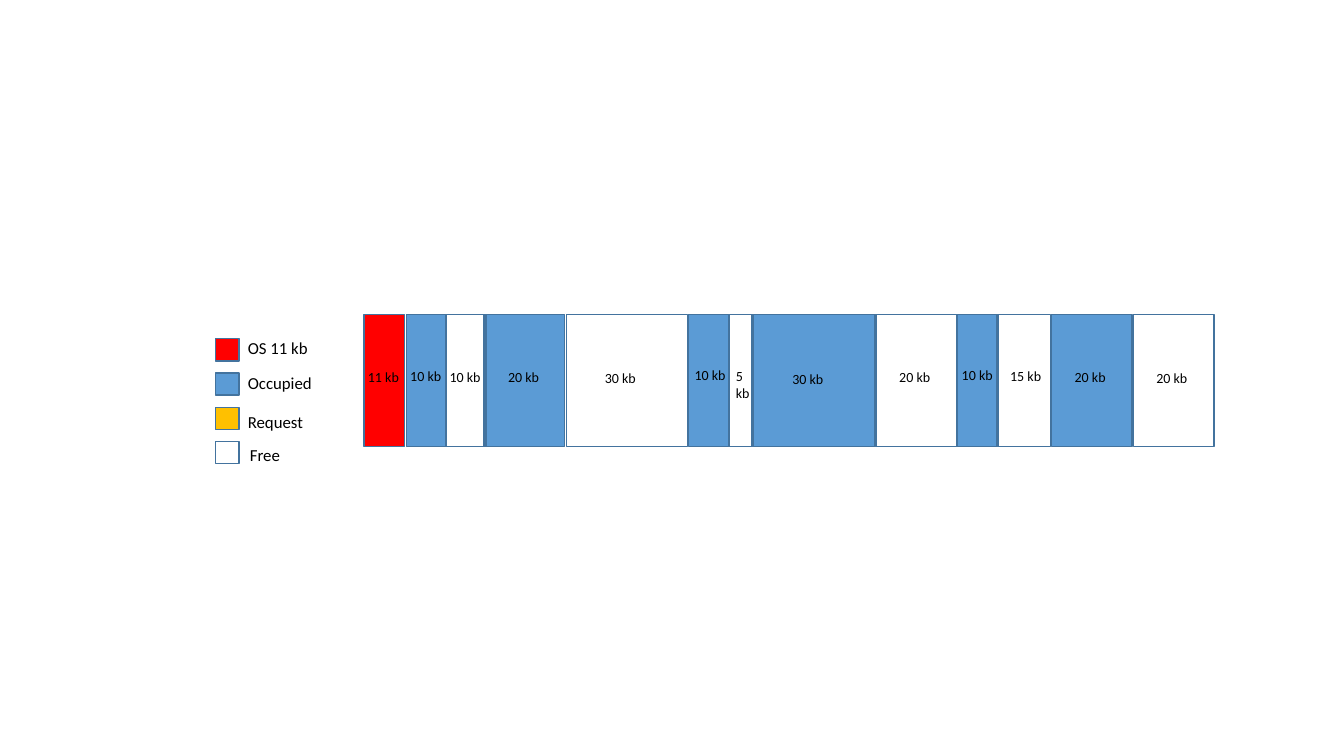
import pptx
import pptx.dml.color
import pptx.enum.shapes
import pptx.enum.text
import pptx.util

Inches = pptx.util.Inches
OS, OCCUPIED, REQUEST, FREE = "FF0000", "5B9BD5", "FFC000", None
OUTLINE, INK = "43739E", "000000"

# Legend rows: fill, name, name's left and top within the legend
LEGEND = [
    (OS, "OS 11 kb", 0.22, -0.06),
    (OCCUPIED, "Occupied", 0.22, 0.29),
    (REQUEST, "Request", 0.22, 0.68),
    (FREE, "Free", 0.24, 1.0),
]

# Memory blocks, back to front: fill, left in the bar, width, size,
# size label's left and top within the block
BLOCKS = [
    (OS, 0, 0.4, "11 kb", -0.06, 0.49),
    (OCCUPIED, 0.42, 0.4, "10 kb", -0.06, 0.48),
    (FREE, 3.6, 0.25, "5\nkb", -0.01, 0.48),
    (OCCUPIED, 1.19, 0.8, "20 kb", 0.14, 0.49),
    (FREE, 2.01, 1.2, "30 kb", 0.28, 0.5),
    (OCCUPIED, 3.22, 0.4, "10 kb", -0.04, 0.47),
    (FREE, 0.81, 0.4, "10 kb", -0.06, 0.49),
    (OCCUPIED, 3.86, 1.21, "30 kb", 0.29, 0.51),
    (FREE, 5.08, 0.8, "20 kb", 0.13, 0.49),
    (OCCUPIED, 5.88, 0.4, "10 kb", -0.05, 0.47),
    (FREE, 6.29, 0.52, "15 kb", 0.02, 0.48),
    (OCCUPIED, 6.82, 0.8, "20 kb", 0.13, 0.49),
    (FREE, 7.63, 0.8, "20 kb", 0.13, 0.5),
]


def rgb(color):
    return pptx.dml.color.RGBColor.from_string(color)


def add_box(slide, left, top, width, height, fill):
    sp = slide.shapes.add_shape(
        pptx.enum.shapes.MSO_SHAPE.RECTANGLE,
        Inches(left), Inches(top), Inches(width), Inches(height))
    sp.shadow.inherit = False
    if fill:
        sp.fill.solid()
        sp.fill.fore_color.rgb = rgb(fill)
    else:
        sp.fill.background()
    sp.line.color.rgb = rgb(OUTLINE)
    sp.line.width = pptx.util.Pt(1)


def add_label(slide, left, top, width, height, text, size):
    sp = slide.shapes.add_textbox(
        Inches(left), Inches(top), Inches(width), Inches(height))
    tf = sp.text_frame
    tf.word_wrap = True
    tf.auto_size = pptx.enum.text.MSO_AUTO_SIZE.SHAPE_TO_FIT_TEXT
    tf.text = text
    for p in tf.paragraphs:
        p.font.name = "Calibri"
        p.font.size = pptx.util.Pt(size)
        p.font.color.rgb = rgb(INK)


def add_legend(slide, left, top, pitch):
    for row, (fill, name, dx, dy) in enumerate(LEGEND):
        add_box(slide, left, top + row * pitch, 0.23, 0.22, fill)
        add_label(slide, left + dx, top + dy, 0.93, 0.3, name, 12)


def add_memory_bar(slide, left, top, height):
    for fill, x, width, size, dx, dy in BLOCKS:
        add_box(slide, left + x, top, width, height, fill)
        # A two-line label gets a narrower, taller box
        label_size = (0.43, 0.44) if "\n" in size else (0.81, 0.27)
        add_label(slide, left + x + dx, top + dy, *label_size, size, 10)


def main():
    prs = pptx.Presentation()
    prs.slide_width, prs.slide_height = Inches(13.33), Inches(7.5)
    slide = prs.slides.add_slide(prs.slide_layouts[6])
    add_legend(slide, 2.14, 3.36, 0.34)
    add_memory_bar(slide, 3.61, 3.12, 1.31)
    prs.save("out.pptx")


if __name__ == "__main__":
    main()
